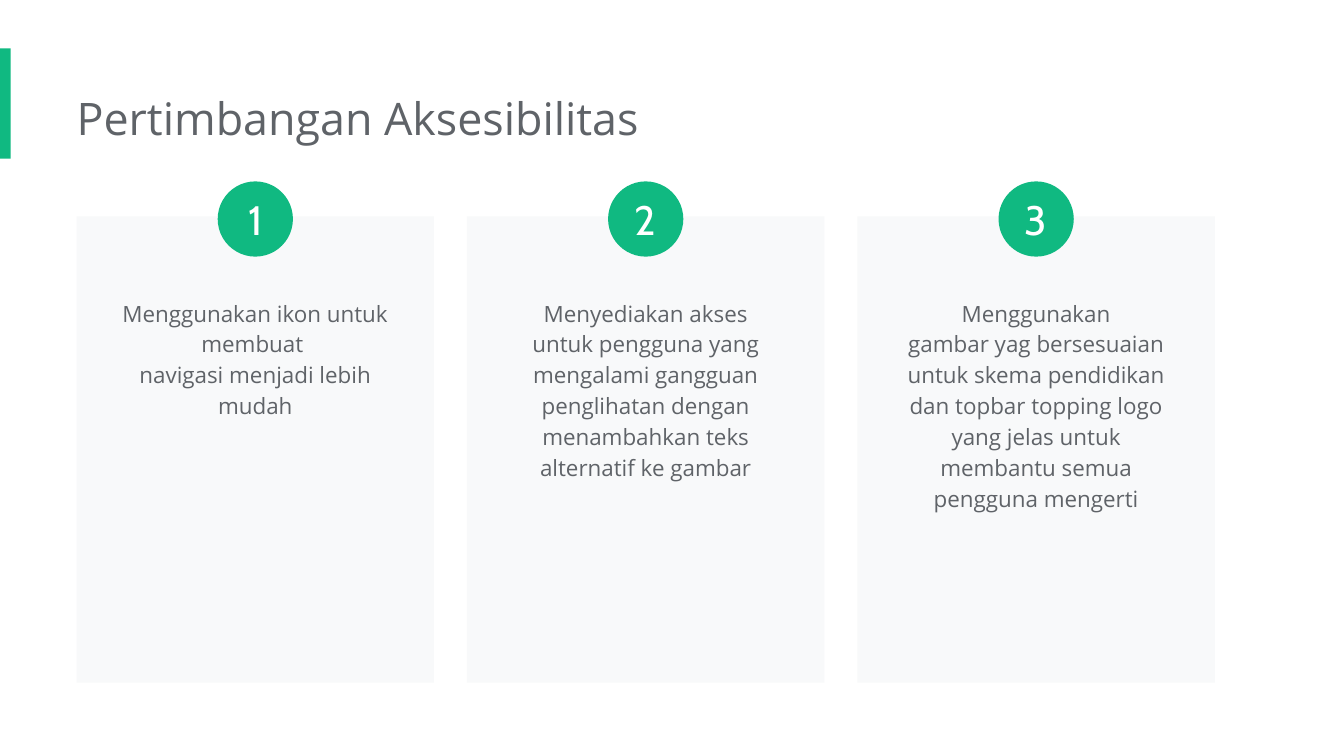
from pptx import Presentation
from pptx.dml.color import RGBColor
from pptx.enum.shapes import MSO_SHAPE
from pptx.enum.text import MSO_ANCHOR, PP_ALIGN
from pptx.util import Inches, Pt

GREEN = RGBColor(0x10, 0xB9, 0x81)
GRAY = RGBColor(0x5F, 0x63, 0x68)
PALE = RGBColor(0xF8, 0xF9, 0xFA)
WHITE = RGBColor(0xFF, 0xFF, 0xFF)

LEFT, TOP = 0.57, 1.61
WIDE, HIGH = 2.66, 3.47
LAST = 6.38
DISC = 0.56
INSET = 0.21

CARDS = [
    (1.6, ["Menggunakan ikon untuk membuat ", "navigasi menjadi lebih mudah"]),
    (2.06, ["Menyediakan akses",
            "untuk pengguna yang mengalami gangguan penglihatan dengan "
            "menambahkan teks alternatif ke gambar"]),
    (2.29, ["Menggunakan",
            "gambar yag bersesuaian untuk skema pendidikan dan topbar topping "
            "logo yang jelas untuk membantu semua pengguna mengerti"]),
]
STEP = (LAST - LEFT) / (len(CARDS) - 1)


def set_pad(frame, left, top, right, bottom):
    frame.margin_left, frame.margin_top = Inches(left), Inches(top)
    frame.margin_right, frame.margin_bottom = Inches(right), Inches(bottom)
    frame.word_wrap = True


def set_font(line, name, size, color, align):
    line.alignment = align
    for run in line.runs:
        run.font.name = name
        run.font.size = Pt(size)
        run.font.color.rgb = color


def add_block(slide, kind, x, y, w, h, color):
    block = slide.shapes.add_shape(kind, Inches(x), Inches(y), Inches(w), Inches(h))
    block.shadow.inherit = False
    block.fill.solid()
    block.fill.fore_color.rgb = color
    block.line.fill.background()
    return block


def add_title(slide, text):
    title = slide.shapes.title
    title.left, title.top = Inches(LEFT), Inches(0.57)
    title.width, title.height = Inches(7.66), Inches(0.61)
    frame = title.text_frame
    frame.text = text
    set_pad(frame, 0, 0.1, 0.1, 0.1)
    frame.vertical_anchor = MSO_ANCHOR.MIDDLE
    set_font(frame.paragraphs[0], "Open Sans", 24, GRAY, PP_ALIGN.LEFT)


def add_card(slide, x, tall, lines):
    add_block(slide, MSO_SHAPE.RECTANGLE, x, TOP, WIDE, HIGH, PALE)
    box = slide.shapes.add_textbox(
        Inches(x + INSET), Inches(2.1), Inches(WIDE - 2 * INSET), Inches(tall))
    frame = box.text_frame
    set_pad(frame, 0.1, 0.1, 0.1, 0.1)
    frame.text = "\n".join(lines)
    for line in frame.paragraphs:
        line.line_spacing = 1.15
        set_font(line, "Open Sans", 12, GRAY, PP_ALIGN.CENTER)


def add_disc(slide, x, label):
    disc = add_block(slide, MSO_SHAPE.OVAL, x + (WIDE - DISC) / 2, 1.35, DISC, DISC, GREEN)
    frame = disc.text_frame
    frame.text = label
    set_pad(frame, 0, 0, 0, 0)
    frame.vertical_anchor = MSO_ANCHOR.MIDDLE
    set_font(frame.paragraphs[0], "Cabin", 22, WHITE, PP_ALIGN.CENTER)


def main():
    deck = Presentation()
    deck.slide_width = Inches(10)
    deck.slide_height = deck.slide_width * 9 // 16
    slide = deck.slides.add_slide(deck.slide_layouts[5])
    add_block(slide, MSO_SHAPE.RECTANGLE, 0, 0.36, 0.08, 0.82, GREEN)
    add_title(slide, "Pertimbangan Aksesibilitas")
    for col, (tall, lines) in enumerate(CARDS):
        x = LEFT + col * STEP
        add_card(slide, x, tall, lines)
        add_disc(slide, x, str(col + 1))
    deck.save("out.pptx")


if __name__ == "__main__":
    main()
